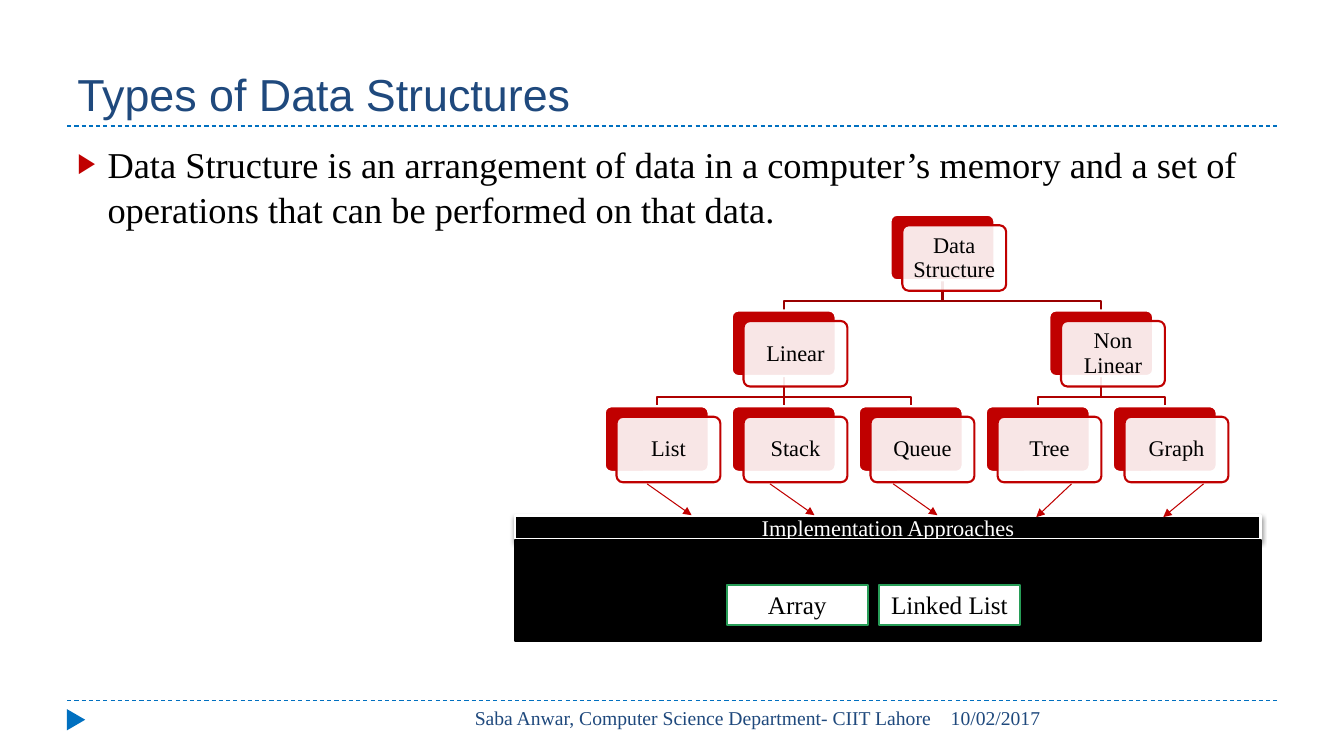
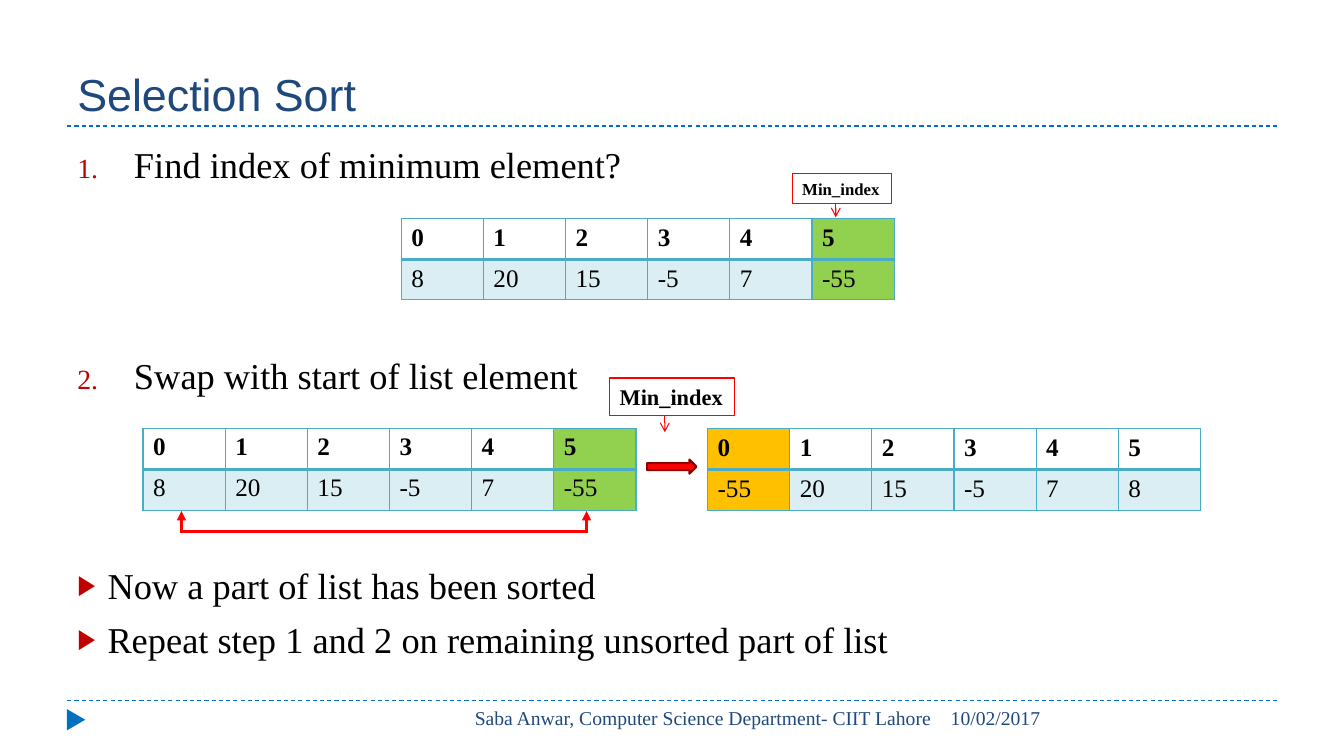
from lxml import etree
from pptx import Presentation
from pptx.dml.color import RGBColor
from pptx.enum.dml import MSO_LINE
from pptx.enum.shapes import MSO_CONNECTOR, MSO_SHAPE
from pptx.enum.text import MSO_ANCHOR, MSO_AUTO_SIZE, PP_ALIGN
from pptx.oxml.ns import qn
from pptx.util import Pt

LEFT, CENTER, RIGHT = PP_ALIGN.LEFT, PP_ALIGN.CENTER, PP_ALIGN.RIGHT
TOP, MIDDLE, BOTTOM = MSO_ANCHOR.TOP, MSO_ANCHOR.MIDDLE, MSO_ANCHOR.BOTTOM
RECT, ROUNDED = MSO_SHAPE.RECTANGLE, MSO_SHAPE.ROUNDED_RECTANGLE
TRIANGLE, RIGHT_ARROW = MSO_SHAPE.ISOSCELES_TRIANGLE, MSO_SHAPE.RIGHT_ARROW
CALLOUT = MSO_SHAPE.LINE_CALLOUT_1
STRAIGHT, DASH, NO_FIT = MSO_CONNECTOR.STRAIGHT, MSO_LINE.DASH, MSO_AUTO_SIZE.NONE

HEADING_FONT, TEXT_FONT = "Arial", "Times New Roman"
BLACK, WHITE, NAVY, BLUE = "000000", "FFFFFF", "1F497D", "0070C0"
CRIMSON, RED, DARK_RED = "C00000", "FF0000", "8E0000"
GREEN, TEAL, LIME, AMBER = "279D57", "4BACC6", "92D050", "FFC000"

AUTHOR = "Saba Anwar, Computer Science Department- CIIT Lahore"
DATE = "10/02/2017"
FOOTERS = [(AUTHOR, 304.5, 368, RIGHT), (DATE, 672, 240, LEFT)]
TITLE_BOX = (48, 12, 864, 78)
BODY_BOX = (48, 96, 864, 389)

ARROW_BULLET = (21.6, "buChar", {"char": "▶"})
NUMBER_BULLET = (40.5, "buAutoNum", {"type": "arabicPeriod"})

TYPES_BODY = [
    ("Data Structure is an arrangement of data in a computer’s memory "
     "and a set of operations that can be performed on that data.",
     ARROW_BULLET, 0),
]
TREE = ("Data Structure", [
    ("Linear", [("List", []), ("Stack", []), ("Queue", [])]),
    ("Non Linear", [("Tree", []), ("Graph", [])]),
])
BRANCH_COLORS = ["9A0000", "AE0000"]
TREE_LEFT, TREE_TOP = 432, 153.4
LEAF_PITCH, LEVEL_PITCH = 90.72, 68.4
NODE_W, NODE_H, ELBOW = 74.2, 46.8, 14.8
FRONT_DX, FRONT_DY = 8.4, 7.5

APPROACHES_TITLE = "Implementation Approaches"
APPROACHES = ["Array", "Linked List"]
APPROACH_ARROWS = [
    (462.2, 494, 368), (550, 581.8, 368), (638, 669.6, 368),
    (765.4, 740.2, 369.4), (859.7, 830.9, 369.4),
]

SORT_BODY = [
    ("Find index of minimum element?", NUMBER_BULLET, 0),
    ("Swap with start of list element", NUMBER_BULLET, 118),
    ("Now a part of list has been sorted", ARROW_BULLET, 117.5),
    ("Repeat step 1 and 2 on remaining unsorted part of list", ARROW_BULLET, 6),
]
UNSORTED = [8, 20, 15, -5, 7, -55]
SWAPPED = [-55, 20, 15, -5, 7, 8]
ARRAYS = [
    (286.6, 156.2, 27.4, UNSORTED, 5, LIME),
    (505.4, 306.3, 29.2, SWAPPED, 0, AMBER),
    (102.2, 306, 29.2, UNSORTED, 5, LIME),
]
CELL_W, CELL_H = 58.7, 29.2
MIN_LABEL = "Min_index"
MIN_LABELS = [((435.6, 270, 89.3, 26.9), 16), ((565.9, 123.8, 70.6, 21.8), 12)]
SWAP_ENDS, SWAP_Y, SWAP_TIP = (129.6, 419), 379.4, 365


def rgb(color):
    return RGBColor.from_string(color)


def points(*lengths):
    return [Pt(length) for length in lengths]


def child(parent, tag, **attributes):
    values = {key: str(value) for key, value in attributes.items()}
    return etree.SubElement(parent, qn("a:" + tag), values)


def set_fill(part, color, opacity=100):
    if color is None:
        part.fill.background()
        return
    part.fill.solid()
    part.fill.fore_color.rgb = rgb(color)
    if opacity < 100:
        holder = part.element.spPr if hasattr(part, "element") else part.get_or_add_tcPr()
        child(holder.find(qn("a:solidFill"))[0], "alpha", val=opacity * 1000)


def set_line(part, color, width, head=None):
    part.line.color.rgb = rgb(color)
    part.line.width = Pt(width)
    if head:
        child(part.element.spPr.find(qn("a:ln")), "tailEnd", type=head)


def write(paragraph, text, size=16, color=BLACK, font=TEXT_FONT, bold=False,
          align=LEFT, spacing=None, before=None, bullet=None):
    paragraph.alignment = align
    if spacing:
        paragraph.line_spacing = spacing
    if before:
        paragraph.space_before = Pt(before)
    if bullet:
        indent, kind, attributes = bullet
        properties = paragraph._p.get_or_add_pPr()
        properties.set("marL", str(Pt(indent)))
        properties.set("indent", str(-Pt(indent)))
        child(child(properties, "buClr"), "srgbClr", val=CRIMSON)
        child(properties, "buSzPct", val=76000)
        child(properties, "buFont", typeface=TEXT_FONT)
        child(properties, kind, **attributes)
    run = paragraph.add_run()
    run.text = text
    run.font.name, run.font.size, run.font.bold = font, Pt(size), bold
    run.font.color.rgb = rgb(color)


def add_box(slide, kind, box, fill=None, line=None, width=1.5, opacity=100,
            head=None, adjustments=()):
    shape = slide.shapes.add_shape(kind, *points(*box))
    shape.shadow.inherit = False
    set_fill(shape, fill, opacity)
    if line:
        set_line(shape, line, width, head)
    else:
        shape.line.fill.background()
    for index, value in enumerate(adjustments):
        shape.adjustments[index] = value
    return shape


def add_line(slide, start, end, color, width=0.75, dash=None, head=None):
    connector = slide.shapes.add_connector(STRAIGHT, *points(*start, *end))
    set_line(connector, color, width, head)
    if dash:
        connector.line.dash_style = dash
    child(connector.element.spPr, "effectLst")


def add_slide(deck, title, body):
    slide = deck.slides.add_slide(deck.slide_layouts[1])
    for y in (500.4, 90):
        add_line(slide, (48, y), (912, y), BLUE, dash=DASH)
    add_box(slide, TRIANGLE, (46.8, 507.6, 15.1, 13), BLUE).rotation = 90
    for text, left, width, align in FOOTERS:
        footer = slide.shapes.add_textbox(*points(left, 500.4, width, 28.8))
        footer.text_frame.word_wrap = True
        write(footer.text_frame.paragraphs[0], text, size=14, color=NAVY, align=align)
    for holder, box, anchor in zip(slide.placeholders, (TITLE_BOX, BODY_BOX), (BOTTOM, TOP)):
        holder.left, holder.top, holder.width, holder.height = points(*box)
        holder.text_frame.auto_size = NO_FIT
        holder.text_frame.vertical_anchor = anchor
    write(slide.shapes.title.text_frame.paragraphs[0], title, size=32,
          color=NAVY, font=HEADING_FONT)
    frame = slide.placeholders[1].text_frame
    for index, (text, bullet, before) in enumerate(body):
        paragraph = frame.add_paragraph() if index else frame.paragraphs[0]
        paragraph.space_before = Pt(0)
        write(paragraph, text, size=26, spacing=1.05, before=before, bullet=bullet)
    return slide


def place_nodes(node, level, next_leaf, nodes, branches):
    label, children = node
    top = TREE_TOP + level * LEVEL_PITCH
    if children:
        lefts = []
        for part in children:
            left, next_leaf = place_nodes(part, level + 1, next_leaf, nodes, branches)
            lefts.append(left)
        left = (lefts[0] + lefts[-1]) / 2
        branches.append((left, top, lefts, BRANCH_COLORS[level]))
    else:
        left = TREE_LEFT + next_leaf * LEAF_PITCH
        next_leaf += 1
    nodes.append((label, left, top))
    return left, next_leaf


def add_branch(slide, left, top, child_lefts, color):
    middle, bottom = left + NODE_W / 2, top + NODE_H
    builder = slide.shapes.build_freeform(*points(middle, bottom), scale=1.0)
    builder.add_line_segments([points(middle, bottom + ELBOW)], close=False)
    for child_left in child_lefts:
        child_middle = child_left + NODE_W / 2
        builder.move_to(*points(middle, bottom + ELBOW))
        builder.add_line_segments([
            points(child_middle, bottom + ELBOW),
            points(child_middle, top + LEVEL_PITCH),
        ], close=False)
    branch = builder.convert_to_shape()
    branch.shadow.inherit = False
    set_fill(branch, None)
    set_line(branch, color, 1.5)


def add_node(slide, label, left, top):
    add_box(slide, ROUNDED, (left, top, NODE_W, NODE_H), CRIMSON, WHITE,
            adjustments=[0.1])
    front = add_box(slide, ROUNDED, (left + FRONT_DX, top + FRONT_DY, NODE_W, NODE_H),
                    WHITE, CRIMSON, opacity=90, adjustments=[0.1])
    frame = front.text_frame
    frame.margin_left = frame.margin_right = Pt(6.5)
    write(frame.paragraphs[0], label, align=CENTER, spacing=0.9)


def add_types_slide(deck):
    slide = add_slide(deck, "Types of Data Structures", TYPES_BODY)
    nodes, branches = [], []
    place_nodes(TREE, 0, 0, nodes, branches)
    for branch in branches:
        add_branch(slide, *branch)
    for node in nodes:
        add_node(slide, *node)
    header = add_box(slide, RECT, (367.9, 368, 532.8, 17.3), BLACK, WHITE, 2)
    shadow = child(header.element.spPr.find(qn("a:effectLst")), "outerShdw",
                   blurRad=Pt(3), dist=Pt(2), dir=5400000, rotWithShape=0)
    child(child(shadow, "srgbClr", val=BLACK), "alpha", val=40000)
    write(header.text_frame.paragraphs[0], APPROACHES_TITLE, color=WHITE, align=CENTER)
    add_box(slide, RECT, (367.9, 385.9, 532.8, 72), BLACK, BLACK)
    for index, text in enumerate(APPROACHES):
        approach = add_box(slide, RECT, (519.1 + index * 108.7, 417.6, 100.8, 28.8),
                           WHITE, GREEN)
        write(approach.text_frame.paragraphs[0], text, size=18, align=CENTER)
    for start_x, end_x, end_y in APPROACH_ARROWS:
        add_line(slide, (start_x, 345.6), (end_x, end_y), CRIMSON, head="triangle")


def set_borders(cell, bottom):
    properties = cell._tc.get_or_add_tcPr()
    for side, width in (("L", 1), ("R", 1), ("T", 1), ("B", bottom)):
        border = child(properties, "ln" + side, w=Pt(width))
        child(child(border, "solidFill"), "srgbClr", val=TEAL)


def add_array(slide, left, top, value_height, values, marked, mark_color):
    count = len(values)
    table = slide.shapes.add_table(
        2, count, *points(left, top, count * CELL_W, CELL_H + value_height)).table
    table.first_row = table.horz_banding = False
    for column in table.columns:
        column.width = Pt(CELL_W)
    for row, height in zip(table.rows, (CELL_H, value_height)):
        row.height = Pt(height)
    for index, value in enumerate(values):
        for row, text in enumerate((index, value)):
            cell = table.cell(row, index)
            set_borders(cell, 1 if row else 2)
            if index == marked:
                set_fill(cell, mark_color)
            elif row:
                set_fill(cell, TEAL)
                color = cell._tc.tcPr.find(qn("a:solidFill"))[0]
                child(color, "alpha", val=20000)
            else:
                set_fill(cell, None)
            write(cell.text_frame.paragraphs[0], str(text), size=18, bold=row == 0)


def add_sort_slide(deck):
    slide = add_slide(deck, "Selection Sort", SORT_BODY)
    for array in ARRAYS:
        add_array(slide, *array)
    for box, size in MIN_LABELS:
        label = add_box(slide, CALLOUT, box, line=RED, width=0.75, head="arrow",
                        adjustments=[0.99, 0.44, 1.44, 0.44])
        label.text_frame.word_wrap = False
        label.text_frame.vertical_anchor = TOP
        write(label.text_frame.paragraphs[0], MIN_LABEL, size=size, bold=True)
    first, last = SWAP_ENDS
    add_line(slide, (first - 1, SWAP_Y), (last + 1, SWAP_Y), RED, 2.25)
    for x in SWAP_ENDS:
        add_line(slide, (x, SWAP_Y), (x, SWAP_TIP), RED, 2.25, head="triangle")
    add_box(slide, RIGHT_ARROW, (462.2, 328.3, 35.3, 10.1), RED, DARK_RED)


def main():
    deck = Presentation()
    deck.slide_width, deck.slide_height = points(960, 540)
    add_types_slide(deck)
    add_sort_slide(deck)
    deck.save("out.pptx")


if __name__ == "__main__":
    main()
